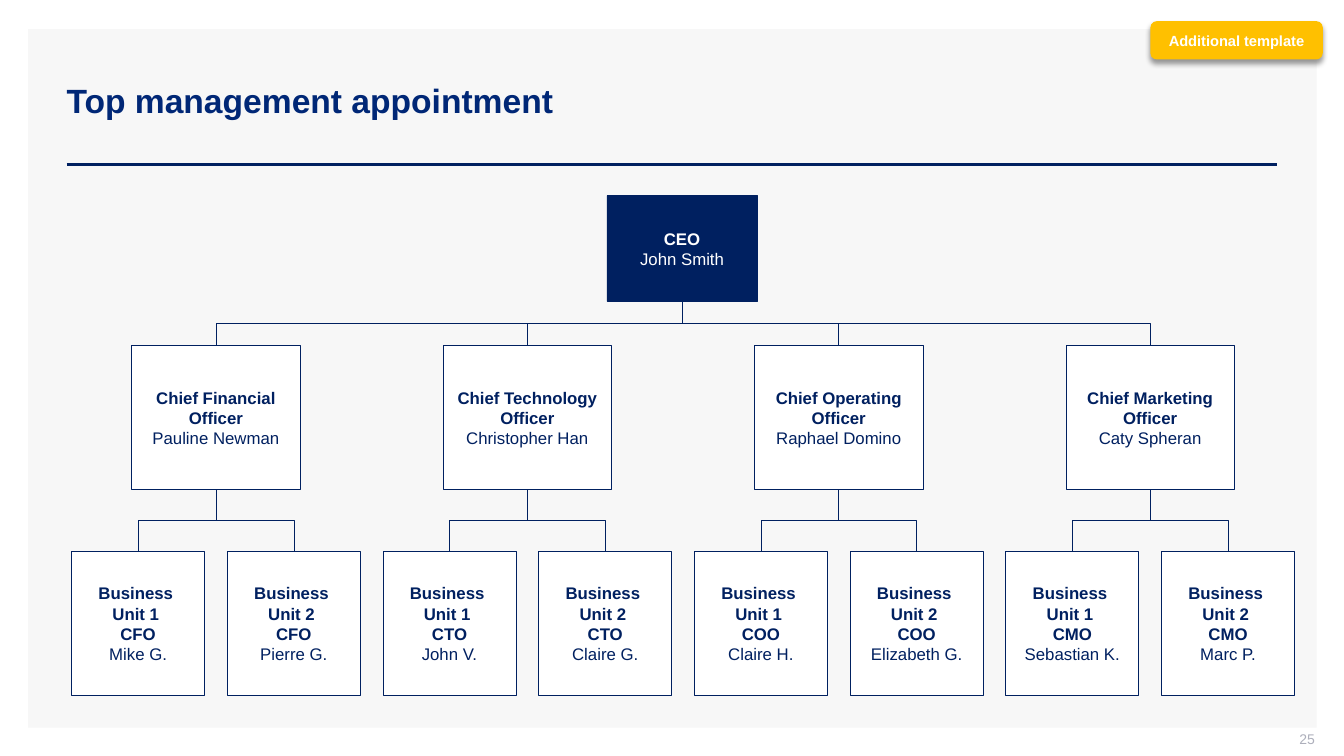
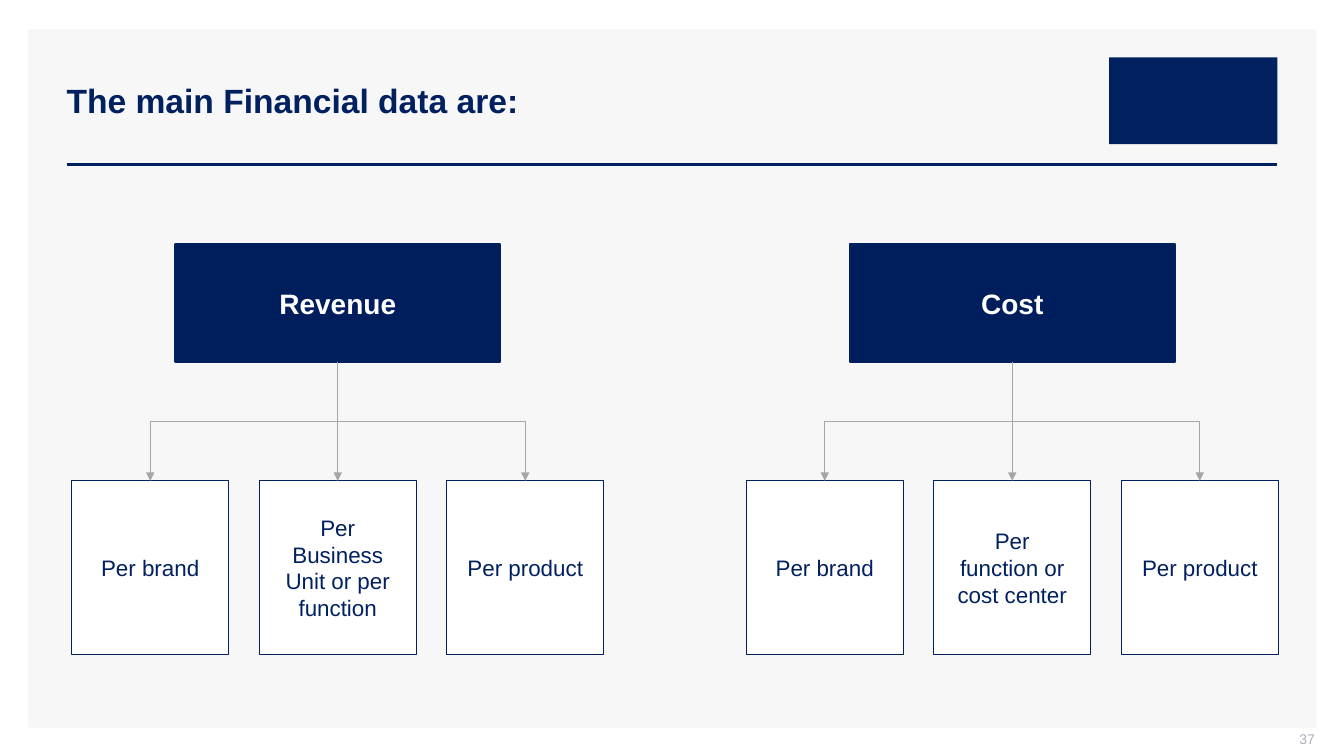
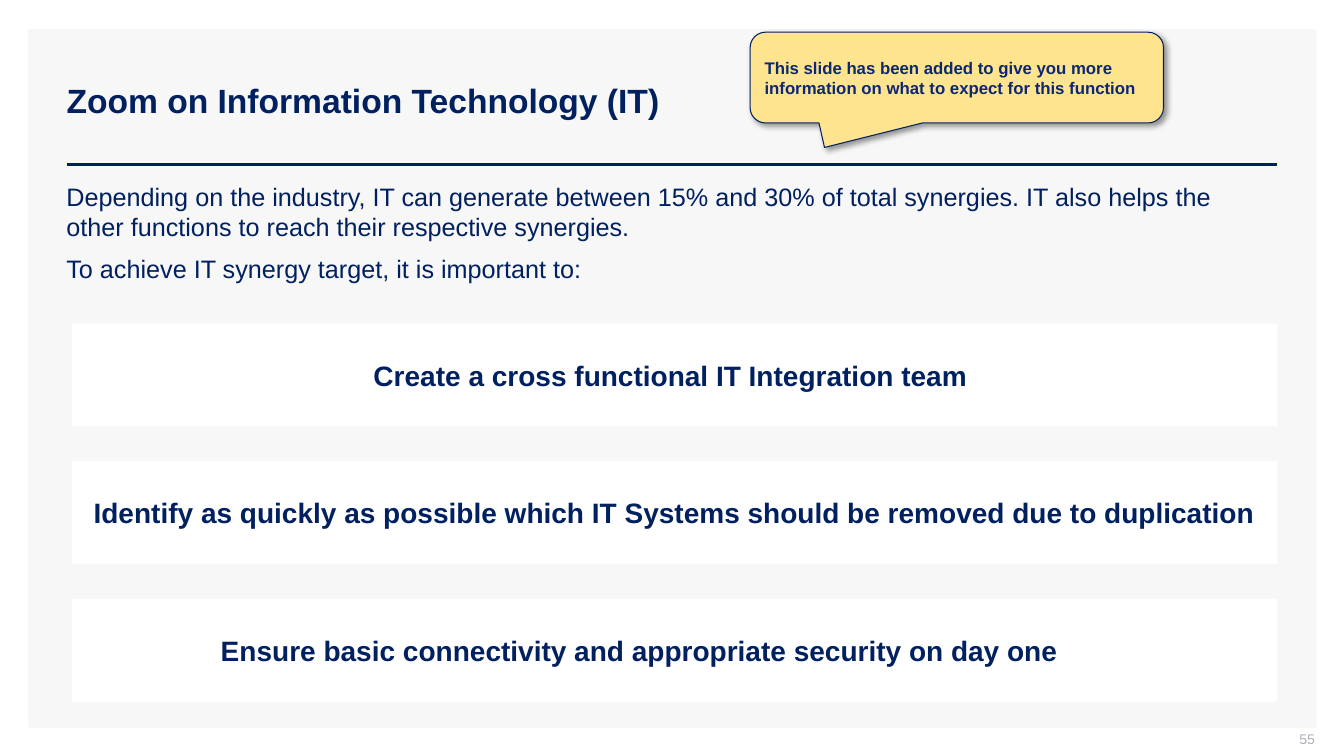
"""Build three slides: an organisation chart, two financial trees and an IT focus page."""
import copy

import lxml.etree
import pptx
import pptx.dml.color
import pptx.enum.shapes
import pptx.enum.text
import pptx.oxml.ns
import pptx.util

SHAPE = pptx.enum.shapes.MSO_SHAPE
CONNECTOR = pptx.enum.shapes.MSO_CONNECTOR
ALIGN = pptx.enum.text.PP_ALIGN
ANCHOR = pptx.enum.text.MSO_ANCHOR
Inches = pptx.util.Inches
Pt = pptx.util.Pt
qn = pptx.oxml.ns.qn

FONT = "Arial"
COLORS = {
    "navy": "002060",
    "deep navy": "001E5B",
    "title blue": "002776",
    "note blue": "0C2870",
    "panel": "F7F7F7",
    "white": "FFFFFF",
    "amber": "FFC000",
    "note": "FFE48F",
    "arrow": "A6A6A6",
    "number": "ADAFBB",
    "black": "000000",
}
TIGHT = (0.02, 0.02, 0.02, 0.02)
UNIT_INSETS = (0.06, 0.02, 0.06, 0.02)
LEAF_INSETS = (0.2, 0.02, 0.2, 0.02)
DEFAULT_INSETS = (0.1, 0.05, 0.1, 0.05)

OFFICERS = [
    ("Chief Financial Officer", "Pauline Newman", "CFO", ("Mike G.", "Pierre G.")),
    ("Chief Technology Officer", "Christopher Han", "CTO", ("John V.", "Claire G.")),
    ("Chief Operating Officer", "Raphael Domino", "COO", ("Claire H.", "Elizabeth G.")),
    ("Chief Marketing Officer", "Caty Spheran", "CMO", ("Sebastian K.", "Marc P.")),
]
TREES = [
    (0.71, "Revenue", ("Per brand", "Per Business Unit or per function", "Per product")),
    (7.4, "Cost", ("Per brand", "Per function or cost center", "Per product")),
]
INTRO = [
    "Depending on the industry, IT can generate between 15% and 30% of total synergies. "
    "IT also helps the other functions to reach their respective synergies.",
    "To achieve IT synergy target, it is important to:",
]
ACTIONS = [
    "Create a cross functional IT Integration team ",
    "Identify as quickly as possible which IT Systems should be removed due to duplication",
    "Ensure basic connectivity and appropriate security on day one\t",
]


def rgb(name):
    """Return the named colour."""
    return pptx.dml.color.RGBColor.from_string(COLORS[name])


def write(frame, lines, size, color, align=ALIGN.CENTER, anchor=ANCHOR.MIDDLE,
          insets=DEFAULT_INSETS, gap=0):
    """Fill a text frame with (text, bold) lines in one style."""
    frame.word_wrap = True
    frame.vertical_anchor = anchor
    sides = [Inches(inset) for inset in insets]
    frame.margin_left, frame.margin_top, frame.margin_right, frame.margin_bottom = sides
    for index, (text, bold) in enumerate(lines):
        para = frame.paragraphs[0] if index == 0 else frame.add_paragraph()
        para.text = text
        para.alignment = align
        if gap:
            para.space_after = Pt(gap)
            para.space_before = Pt(gap if index else 0)
        for span in para.runs:
            span.font.name = FONT
            span.font.size = Pt(size)
            span.font.bold = bold
            span.font.color.rgb = rgb(color)
            properties = span.font
        for line_break in para._p.findall(qn("a:br")):
            line_break.append(copy.deepcopy(properties._element))


def add_tab_stop(para, position):
    """Add one left tab stop to a paragraph."""
    stops = lxml.etree.SubElement(para._p.get_or_add_pPr(), qn("a:tabLst"))
    lxml.etree.SubElement(stops, qn("a:tab"), pos=str(Inches(position)), algn="l")


def add_box(shapes, at, fill, line=None, width=0.5, kind=SHAPE.RECTANGLE):
    """Add a flat filled shape, outlined when a line colour is given."""
    box = shapes.add_shape(kind, *(Inches(length) for length in at))
    box.shadow.inherit = False
    box.fill.solid()
    box.fill.fore_color.rgb = rgb(fill)
    if line:
        box.line.color.rgb = rgb(line)
        box.line.width = Pt(width)
    else:
        box.line.fill.background()
    return box


def add_shadow(box, angle):
    """Give a shape a soft outer shadow."""
    effects = box.element.spPr.find(qn("a:effectLst"))
    shadow = lxml.etree.SubElement(
        effects, qn("a:outerShdw"), blurRad=str(Pt(4)), dist=str(Pt(3)),
        dir=str(angle * 60000), algn="ctr", rotWithShape="0")
    tint = lxml.etree.SubElement(shadow, qn("a:srgbClr"), val=COLORS["black"])
    lxml.etree.SubElement(tint, qn("a:alpha"), val="40000")


def style_connector(connector, color, width, arrow=False):
    """Colour a connector, remove its shadow and add an optional arrowhead."""
    connector.line.color.rgb = rgb(color)
    connector.line.width = Pt(width)
    properties = connector.element.spPr
    if arrow:
        lxml.etree.SubElement(properties.find(qn("a:ln")), qn("a:tailEnd"), type="triangle")
    lxml.etree.SubElement(properties, qn("a:effectLst"))


def join(page, parent, child, color, arrow=False):
    """Link the bottom of a parent box to the top of a child box."""
    start_x, start_y = parent.left + parent.width // 2, parent.top + parent.height
    end_x, end_y = child.left + child.width // 2, child.top
    across, down = end_x - start_x, end_y - start_y
    straight = abs(across) < Inches(0.02)
    kind = CONNECTOR.STRAIGHT if straight else CONNECTOR.ELBOW
    connector = page.shapes.add_connector(kind, start_x, start_y, end_x, end_y)
    connector.begin_connect(parent, 2)
    connector.end_connect(child, 0)
    if not straight:
        connector.left = (start_x + end_x - down) // 2
        connector.top = (start_y + end_y - abs(across)) // 2
        connector.width, connector.height = down, abs(across)
        connector.element.flipH = across > 0
        connector.rotation = 270 if across > 0 else 90
    style_connector(connector, color, 0.5, arrow)


def add_backdrop(layout, page):
    """Put the grey panel and the title rule on the shared layout."""
    for holder in list(layout.placeholders):
        if holder.placeholder_format.type != pptx.enum.shapes.PP_PLACEHOLDER.TITLE:
            holder.element.getparent().remove(holder.element)
    panel = add_box(page.shapes, (0.28, 0.29, 12.78, 6.93), "panel")
    rule = page.shapes.add_connector(
        CONNECTOR.STRAIGHT, Inches(0.66), Inches(1.63), Inches(12.67), Inches(1.63))
    style_connector(rule, "navy", 2)
    for position, part in enumerate((panel, rule), start=2):
        layout.shapes.element.insert(position, part.element)


def add_heading(page, title, number, color="navy"):
    """Set the title and the page number."""
    holder = page.shapes.title
    holder.left, holder.top = Inches(0.56), Inches(0.4)
    holder.width, holder.height = Inches(12.11), Inches(1.19)
    write(holder.text_frame, [(title, True)], 24, color, ALIGN.LEFT)
    box = page.shapes.add_textbox(Inches(10.04), Inches(7.25), Inches(3), Inches(0.21))
    write(box.text_frame, [(number, False)], 10, "number", ALIGN.RIGHT, insets=(0.1, 0, 0, 0.05))


def add_person(page, at, lines, fill="white", color="navy", insets=UNIT_INSETS):
    """Add one box of the organisation chart, the last line being the name."""
    box = add_box(page.shapes, at, fill, "navy")
    styled = [(text, text != lines[-1]) for text in lines]
    write(box.text_frame, styled, 12, color, insets=insets)
    return box


def fill_organisation(page):
    """Draw the organisation chart and the badge."""
    left, pitch, unit_width, officer_width = 0.71, 10.81 / 7, 1.32, 1.67
    chief = add_person(page, (6.02, 1.94, 1.49, 1.05), ("CEO", "John Smith"),
                       "navy", "white", TIGHT)
    for column, (role, name, short, people) in enumerate(OFFICERS):
        first = left + 2 * column * pitch
        middle = first + (pitch + unit_width) / 2
        officer = add_person(
            page, (middle - officer_width / 2, 3.43, officer_width, 1.43), (role, name))
        join(page, chief, officer, "navy")
        for index, person in enumerate(people):
            unit = add_person(page, (first + index * pitch, 5.47, unit_width, 1.43),
                              (f"Business \vUnit {index + 1} ", short, person))
            join(page, officer, unit, "navy")
    badge = add_box(page.shapes, (11.41, 0.21, 1.71, 0.38), "amber", kind=SHAPE.ROUNDED_RECTANGLE)
    add_shadow(badge, 90)
    write(badge.text_frame, [("Additional template", True)], 10.5, "white")


def fill_trees(page):
    """Draw the corner block and the revenue and cost trees."""
    add_box(page.shapes, (11, 0.57, 1.67, 0.86), "navy")
    pitch, leaf_width, root_width = 1.86, 1.56, 3.22
    for left, heading, leaves in TREES:
        middle = left + pitch + leaf_width / 2
        root = add_box(page.shapes, (middle - root_width / 2, 2.42, root_width, 1.17),
                       "deep navy", "navy", 1.5)
        write(root.text_frame, [(heading, True)], 20, "white", insets=TIGHT)
        for index, text in enumerate(leaves):
            leaf = add_box(page.shapes, (left + index * pitch, 4.77, leaf_width, 1.72),
                           "white", "navy", 0.75)
            write(leaf.text_frame, [(text, False)], 16, "navy", insets=LEAF_INSETS)
            join(page, root, leaf, "arrow", arrow=True)


def fill_focus(page):
    """Draw the introduction, the action bars and the callout."""
    intro = page.shapes.add_textbox(Inches(0.56), Inches(1.75), Inches(12.11), Inches(1.12))
    write(intro.text_frame, [(text, False) for text in INTRO], 18, "navy",
          ALIGN.LEFT, ANCHOR.TOP, gap=4)
    for row, text in enumerate(ACTIONS):
        bar = add_box(page.shapes, (0.71, 3.21 + 1.365 * row, 11.96, 1.02), "white")
        write(bar.text_frame, [(text, True)], 20, "navy")
        add_tab_stop(bar.text_frame.paragraphs[0], 9)
    callout = add_box(page.shapes, (7.44, 0.32, 4.1, 0.9), "note", "navy", 0.75,
                      SHAPE.ROUNDED_RECTANGULAR_CALLOUT)
    for index, value in enumerate((-0.32, 0.77, 0.17)):
        callout.adjustments[index] = value
    add_shadow(callout, 45)
    note = "This slide has been added to give you more information on what to expect for this function"
    write(callout.text_frame, [(note, True)], 12, "note blue", ALIGN.LEFT)


def main():
    """Build and save the deck."""
    deck = pptx.Presentation()
    deck.slide_width, deck.slide_height = Inches(13.33), Inches(7.5)
    layout = deck.slide_layouts[5]
    contents = [
        ("Top management appointment", "25", "title blue", fill_organisation),
        ("The main Financial data are:", "37", "navy", fill_trees),
        ("Zoom on Information Technology (IT)", "55", "navy", fill_focus),
    ]
    for index, (title, number, color, fill_page) in enumerate(contents):
        page = deck.slides.add_slide(layout)
        if index == 0:
            add_backdrop(layout, page)
        add_heading(page, title, number, color)
        fill_page(page)
    deck.save("out.pptx")


if __name__ == "__main__":
    main()
